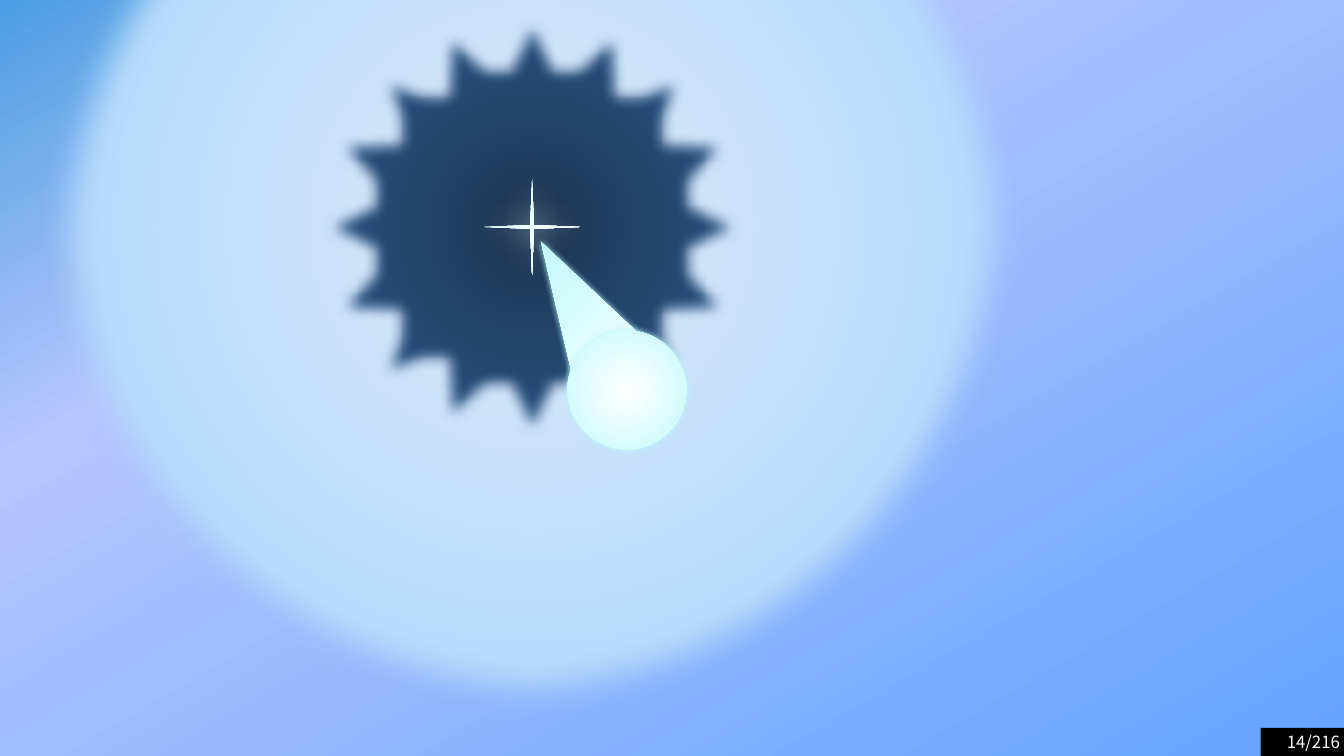
"""Build a slide with a soft glowing disc, a dark star and a comet pointer."""
from pptx import Presentation
from pptx.dml.color import RGBColor
from pptx.enum.shapes import MSO_SHAPE as SHAPE
from pptx.enum.text import MSO_ANCHOR, PP_ALIGN
from pptx.oxml import parse_xml
from pptx.oxml.ns import nsdecls
from pptx.util import Cm, Pt

WIDTH, HEIGHT = 33.87, 19.05
COLORS = {
    "sky": "4B9EE2", "lilac": "B6C6FF", "azure": "63A3FF",
    "mist": "DEE8FA", "disc": "B1DAFB", "night": "1D344E", "navy": "2C629E",
    "white": "FFFFFF", "spark": "DCFEFF", "comet": "B6F8FC", "black": "000000",
}
COUNTER = {"text": "14/216", "font": "Noto Sans CJK SC", "size": 12,
           "width": 2.1, "height": 0.71, "inset": 0.1}
BACKDROP = [(0, "sky"), (30, "lilac"), (100, "azure")]
MIDDLE, CORNER = (50, 50, 50, 50), (100, 100, 0, 0)
HUB = (13.41, 5.72)

LAYERS = [
    dict(kind=SHAPE.OVAL, center=HUB, size=(25, 25), focus=MIDDLE,
         stops=[(0, "mist"), (70, "disc")], soft=25),
    dict(kind=SHAPE.STAR_16_POINT, center=HUB, size=(12, 12), adj=0.358,
         focus=MIDDLE, stops=[(0, "night"), (100, "navy")], soft=10),
    dict(kind=SHAPE.STAR_4_POINT, center=HUB, size=(2.4, 2.4), adj=0.028,
         focus=CORNER, stops=[(0, "white"), (100, "spark")], glow=("spark", 20)),
]
COMET = [
    dict(kind=SHAPE.ISOSCELES_TRIANGLE, center=(14.73, 7.99), size=(2.64, 4.39),
         turn=330, focus=CORNER, stops=[(0, "white"), (100, "comet")],
         glow=("comet", 5)),
    dict(kind=SHAPE.OVAL, center=(15.8, 9.83), size=(3, 3), turn=15,
         focus=MIDDLE, stops=[(0, "white"), (100, "comet")], glow=("comet", 5)),
]


def set_gradient(owner, stops, direction):
    """Replace the empty fill of a shape or slide with a gradient."""
    gs = "".join(f'<a:gs pos="{pos * 1000}"><a:srgbClr val="{COLORS[name]}"/></a:gs>'
                 for pos, name in stops)
    empty = owner.xpath(".//a:noFill")[0]
    empty.getparent().replace(empty, parse_xml(
        f'<a:gradFill {nsdecls("a")} rotWithShape="1"><a:gsLst>{gs}</a:gsLst>'
        f'{direction}</a:gradFill>'))


def add_layer(shapes, kind, center, size, focus, stops,
              adj=None, turn=0, soft=None, glow=None):
    """Add a centred shape with a circular gradient and a soft edge or glow."""
    (x, y), (w, h) = center, size
    s = shapes.add_shape(kind, Cm(x - w / 2), Cm(y - h / 2), Cm(w), Cm(h))
    s.rotation = turn
    if adj is not None:
        s.adjustments[0] = adj
    s.fill.background()
    sides = " ".join(f'{side}="{v * 1000}"' for side, v in zip("ltrb", focus))
    set_gradient(s._element, stops,
                 f'<a:path path="circle"><a:fillToRect {sides}/></a:path>')
    s.line.fill.background()
    s.shadow.inherit = False
    effects = s._element.spPr.xpath("a:effectLst")[0]
    if glow:
        name, blur = glow
        effects.append(parse_xml(
            f'<a:outerShdw {nsdecls("a")} blurRad="{Pt(blur)}" dist="0" dir="0" '
            f'algn="ctr" rotWithShape="0"><a:srgbClr val="{COLORS[name]}"/>'
            '</a:outerShdw>'))
    if soft:
        effects.append(parse_xml(f'<a:softEdge {nsdecls("a")} rad="{Pt(soft)}"/>'))


def add_counter(shapes, text, font, size, width, height, inset):
    """Add the page counter in the bottom right corner."""
    s = shapes.add_shape(SHAPE.RECTANGLE, Cm(WIDTH - width), Cm(HEIGHT - height),
                         Cm(width), Cm(height))
    s.shadow.inherit = False
    s.fill.solid()
    s.fill.fore_color.rgb = RGBColor.from_string(COLORS["black"])
    s.line.fill.background()
    tf = s.text_frame
    tf.word_wrap = False
    tf.vertical_anchor = MSO_ANCHOR.MIDDLE
    tf.margin_left = tf.margin_top = tf.margin_right = tf.margin_bottom = Cm(inset)
    p = tf.paragraphs[0]
    p.alignment = PP_ALIGN.RIGHT
    r = p.add_run()
    r.text = text
    r.font.name = font
    r.font.size = Pt(size)
    r.font.color.rgb = RGBColor.from_string(COLORS["white"])


def main():
    """Assemble and save the slide."""
    prs = Presentation()
    prs.slide_width, prs.slide_height = Cm(WIDTH), Cm(HEIGHT)
    slide = prs.slides.add_slide(prs.slide_layouts[6])
    slide.background.fill.background()
    set_gradient(slide._element, BACKDROP, '<a:lin ang="3600000" scaled="0"/>')
    add_counter(slide.shapes, **COUNTER)
    for layer in LAYERS:
        add_layer(slide.shapes, **layer)
    group = slide.shapes.add_group_shape()
    for layer in COMET:
        add_layer(group.shapes, **layer)
    prs.save("out.pptx")


if __name__ == "__main__":
    main()
